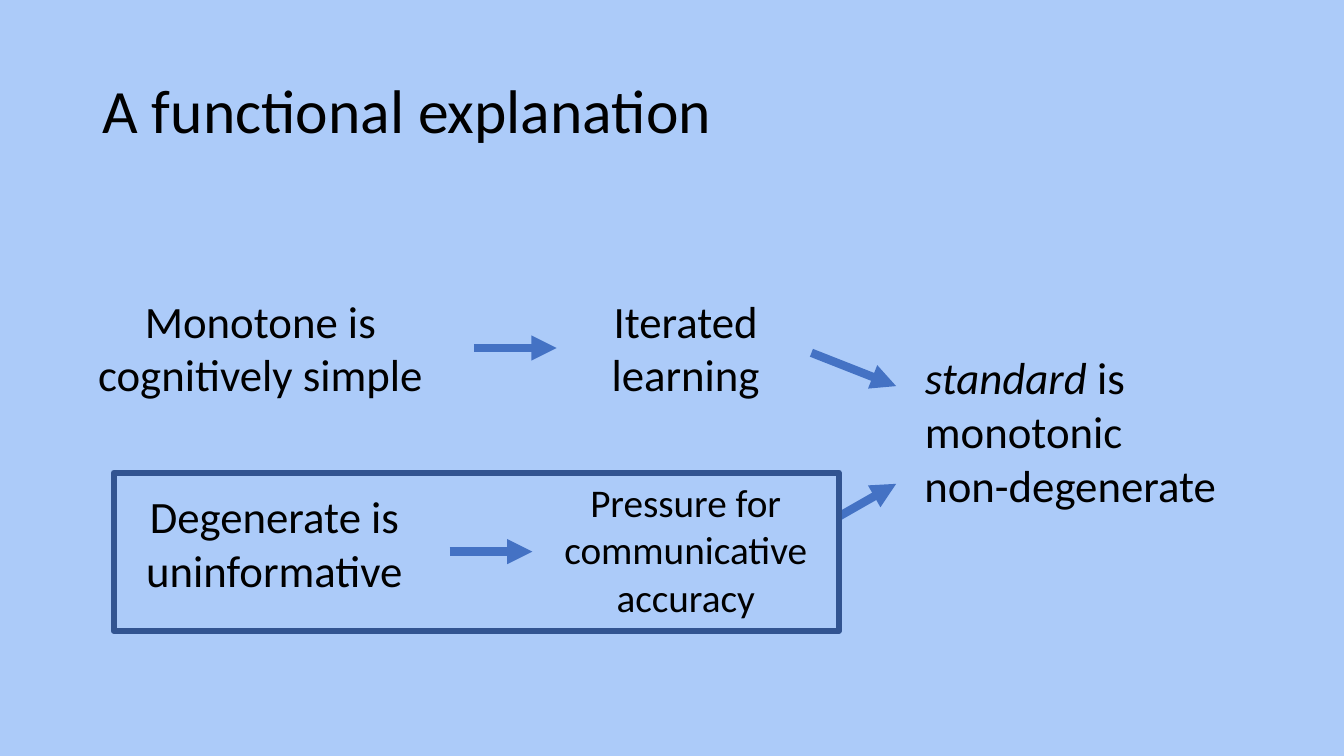
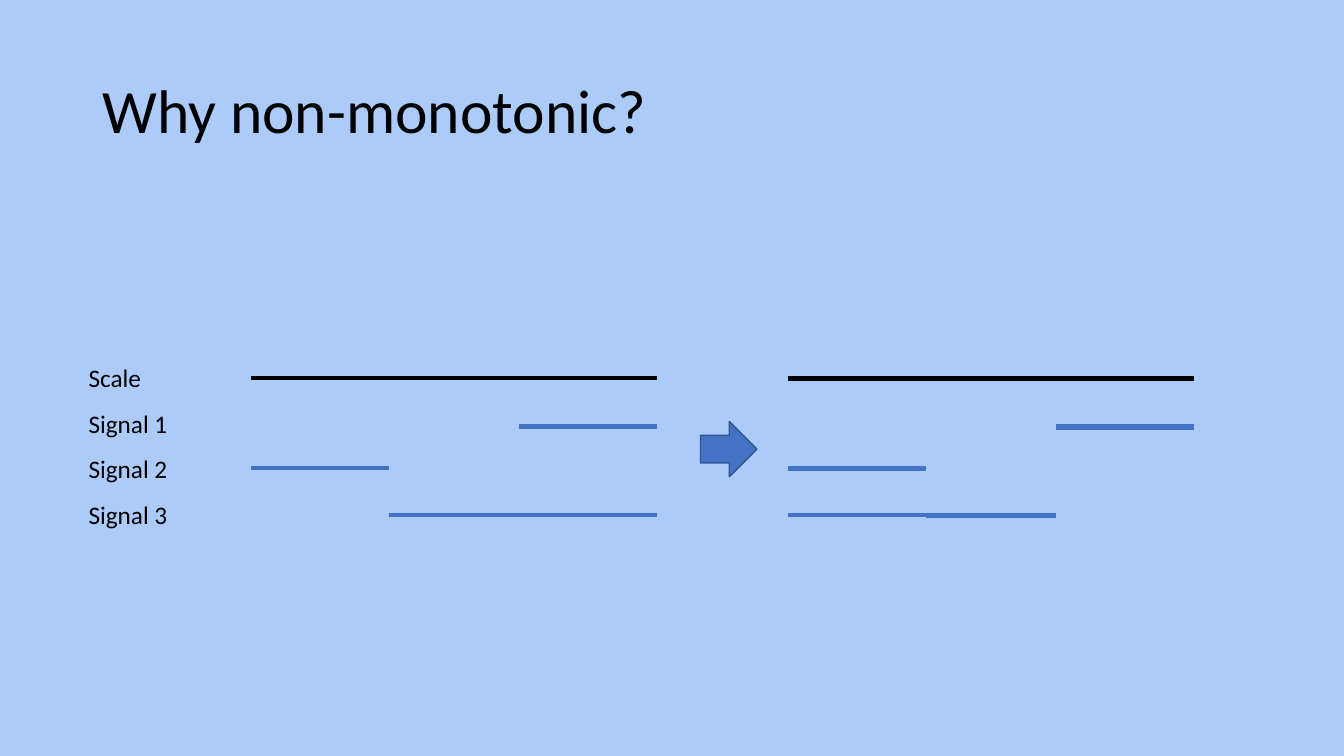
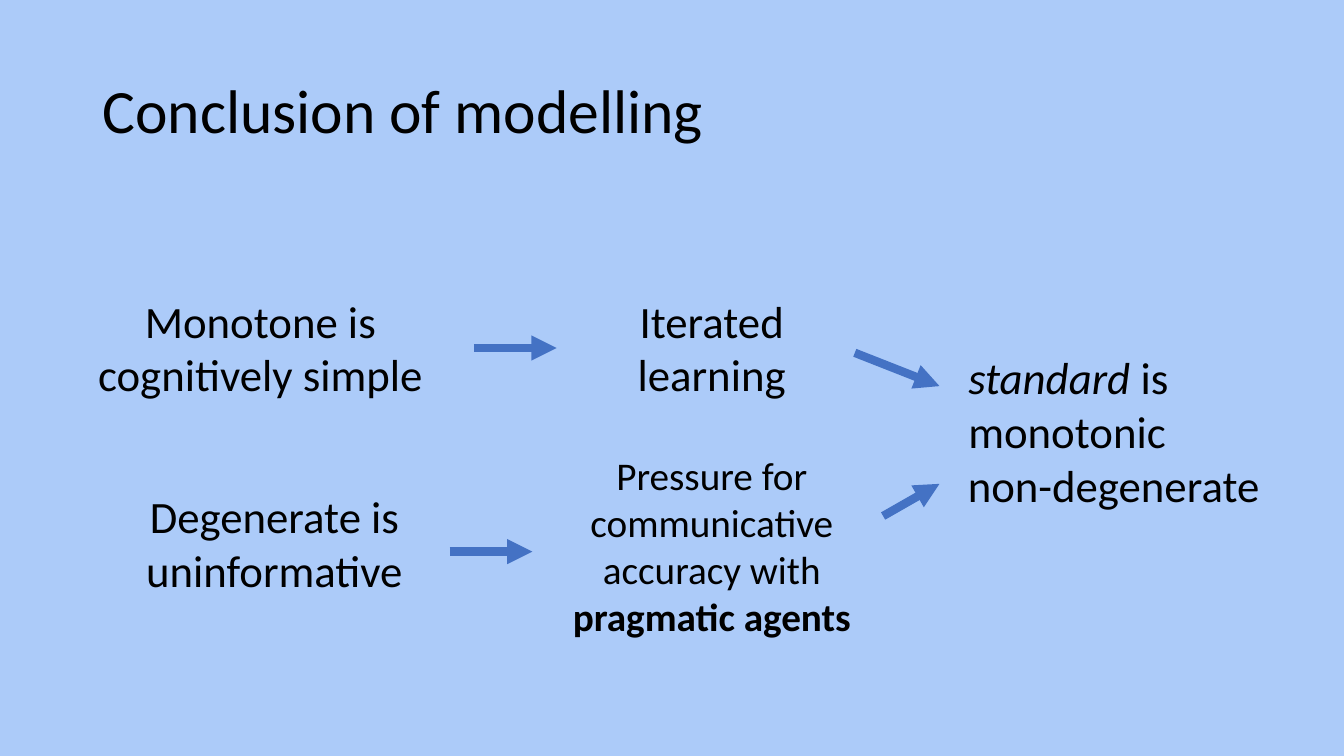
from lxml import etree
from pptx import Presentation
from pptx.dml.color import RGBColor
from pptx.enum.shapes import MSO_CONNECTOR, MSO_SHAPE
from pptx.enum.text import MSO_ANCHOR, MSO_AUTO_SIZE, PP_ALIGN
from pptx.oxml.ns import qn
from pptx.util import Pt

STRAIGHT = MSO_CONNECTOR.STRAIGHT
RECT, RIGHT_ARROW = MSO_SHAPE.RECTANGLE, MSO_SHAPE.RIGHT_ARROW
LEFT, CENTER = PP_ALIGN.LEFT, PP_ALIGN.CENTER
MIDDLE = MSO_ANCHOR.MIDDLE
GROW, NO_AUTO_SIZE = MSO_AUTO_SIZE.SHAPE_TO_FIT_TEXT, MSO_AUTO_SIZE.NONE

FONT = "Calibri"
COLORS = {"back": "ACCBF9", "text": "000000", "blue": "4472C4", "edge": "325491"}
TITLE_BOX = (66, 28.8, 828, 104.4)
TITLE_ONLY = 5


def rgb(name):
    return RGBColor.from_string(COLORS[name])


def place(sp, box):
    sp.left, sp.top, sp.width, sp.height = (Pt(v) for v in box)


def style(p, size, align):
    p.alignment = align
    p.font.name = FONT
    p.font.size = Pt(size)
    p.font.color.rgb = rgb("text")


def add_text(slide, box, runs, size, align=LEFT):
    """Add one paragraph; runs are (text, bold, italic) or a plain string."""
    sp = slide.shapes.add_textbox(*(Pt(v) for v in box))
    tf = sp.text_frame
    tf.word_wrap = True
    tf.auto_size = GROW
    p = tf.paragraphs[0]
    style(p, size, align)
    for text, bold, italic in [(runs, False, False)] if isinstance(runs, str) else runs:
        r = p.add_run()
        r.text = text
        r.font.bold, r.font.italic = bold, italic


def add_line(slide, x1, y1, x2, y2, color="blue", width=3, arrow=False):
    cx = slide.shapes.add_connector(STRAIGHT, Pt(x1), Pt(y1), Pt(x2), Pt(y2))
    cx.line.color.rgb = rgb(color)
    cx.line.width = Pt(width)
    if arrow:
        etree.SubElement(cx.line._get_or_add_ln(), qn("a:tailEnd"), type="triangle")
    etree.SubElement(cx._element.spPr, qn("a:effectLst"))


def add_shape(slide, kind, box, line_width, fill=None):
    sp = slide.shapes.add_shape(kind, *(Pt(v) for v in box))
    sp.shadow.inherit = False
    if fill:
        sp.fill.solid()
        sp.fill.fore_color.rgb = rgb(fill)
    else:
        sp.fill.background()
    sp.line.color.rgb = rgb("edge")
    sp.line.width = Pt(line_width)


def add_slide(prs, title):
    slide = prs.slides.add_slide(prs.slide_layouts[TITLE_ONLY])
    sp = slide.shapes.title
    place(sp, TITLE_BOX)
    tf = sp.text_frame
    tf.text = title
    tf.vertical_anchor = MIDDLE
    tf.auto_size = NO_AUTO_SIZE
    p = tf.paragraphs[0]
    p.line_spacing = 0.9
    style(p, 44, LEFT)
    return slide


def causes(slide, left, top):
    """Left column: each cause with the arrow that leaves it."""
    for text, dx, dy, arrow_x, arrow_y in (
        ("Monotone is cognitively simple", 0, 0, 291.6, 42.6),
        ("Degenerate is uninformative", 10, 139.6, 274.3, 188),
    ):
        add_text(slide, (left + dx, top + dy, 278.5, 85), text, 32, CENTER)
        x, y = left + arrow_x, top + arrow_y
        add_line(slide, x, y, x + 59.2, y, width=6, arrow=True)


def mechanisms(slide, center, top, pressure, pressure_box):
    """Middle column, centred on one axis."""
    add_text(slide, (center - 67, top, 134, 85), "Iterated learning", 32, CENTER)
    dy, width, height = pressure_box
    add_text(slide, (center - width / 2, top + dy, width, height), pressure, 28, CENTER)


def outcome(slide, left, top):
    """Right column with the two arrows that lead into it."""
    add_line(slide, left, top + 46, left + 60.5, top + 69.8, width=6, arrow=True)
    add_line(slide, left + 20.2, top + 162.6, left + 60.5, top + 139.6, width=6, arrow=True)
    standard = [("standard", False, True), (" is monotonic", False, False)]
    add_text(slide, (left + 74, top + 40.2, 277, 85), standard, 32)
    add_text(slide, (left + 73.6, top + 117.3, 277, 46), "non-degenerate", 32)


def explanation_slide(prs, title, center, outcome_left, pressure, pressure_box, frame=None):
    slide = add_slide(prs, title)
    top = 206
    causes(slide, 46.8, top)
    mechanisms(slide, center, top, pressure, pressure_box)
    outcome(slide, outcome_left, top)
    if frame:
        add_shape(slide, RECT, frame, 4.5)


def signal_panel(slide, left, top, third_signal):
    """Scale and three signals; spans are fractions of the scale."""
    width = 290.2
    spans = ((0, 1), (0.66, 1), (0, 0.34), third_signal)
    for i, ((start, end), dy) in enumerate(zip(spans, (0, 34.6, 64.1, 97.9))):
        add_line(slide, left + start * width, top + dy, left + end * width, top + dy,
                 "blue" if i else "text")


def signal_slide(prs, title):
    slide = add_slide(prs, title)
    for i, label in enumerate(("Scale", "Signal 1", "Signal 2", "Signal 3")):
        add_text(slide, (56.2, 255 + 32.8 * i, 115.2, 28.8), label, 18)
    signal_panel(slide, 179.3, 270, (0.34, 1))
    signal_panel(slide, 563, 270, (0, 0.66))
    signal_panel(slide, 563, 270.7, (0.34, 0.66))
    add_shape(slide, RIGHT_ARROW, (500.4, 301, 40.3, 39.6), 1, "blue")


def main():
    prs = Presentation()
    prs.slide_width, prs.slide_height = Pt(960), Pt(540)
    fill = prs.slide_master.background.fill
    fill.solid()
    fill.fore_color.rgb = rgb("back")

    explanation_slide(prs, "A functional explanation", 489.8, 579.6,
                      "Pressure for communicative accuracy", (132.4, 239.8, 108.7),
                      frame=(81.4, 337.7, 517.7, 113))
    signal_slide(prs, "Why non-monotonic?")
    pragmatic = [("Pressure for communicative accuracy with ", False, False),
                 ("pragmatic agents", True, False)]
    explanation_slide(prs, "Conclusion of modelling", 508.4, 610.6,
                      pragmatic, (113, 275, 143.3))
    prs.save("out.pptx")


if __name__ == "__main__":
    main()
